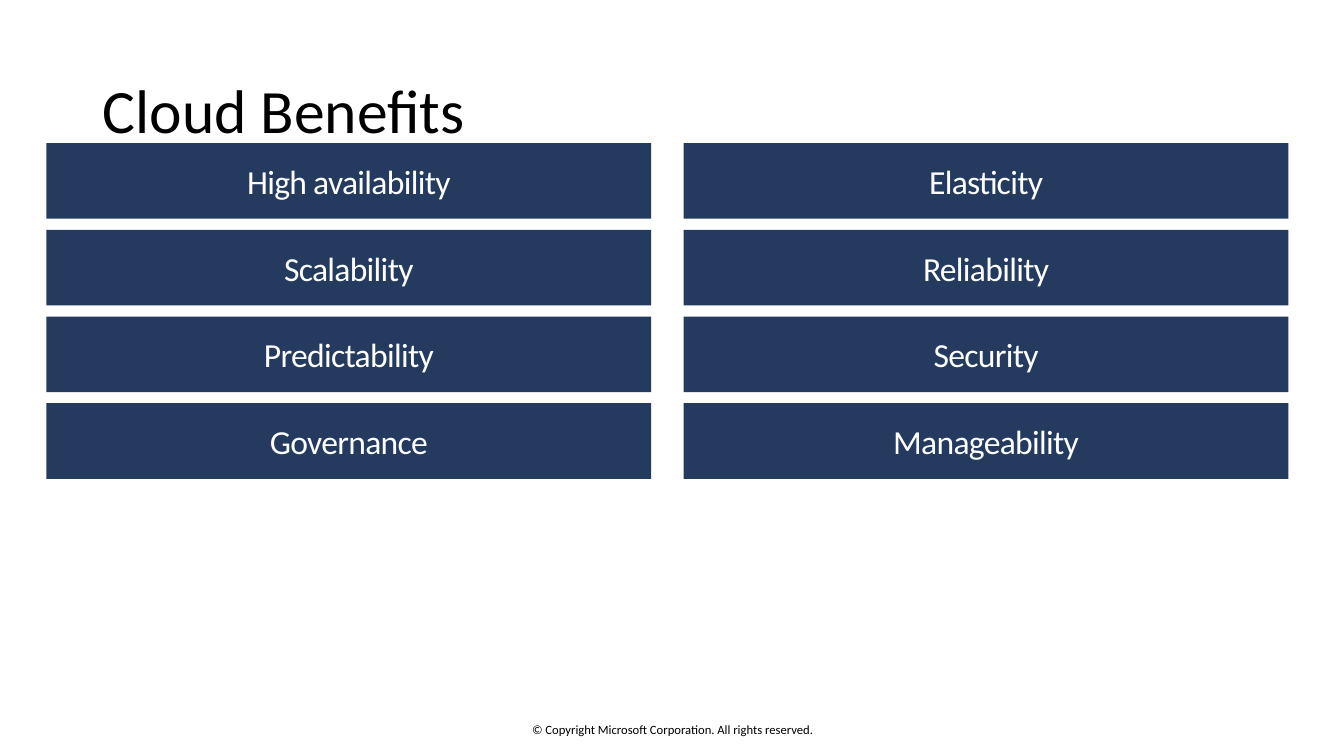
from pptx import Presentation
from pptx.dml.color import RGBColor
from pptx.enum.shapes import MSO_SHAPE
from pptx.enum.text import MSO_ANCHOR, PP_ALIGN
from pptx.util import Inches, Pt

NAVY = RGBColor(0x24, 0x3A, 0x5E)
WHITE = RGBColor(0xFF, 0xFF, 0xFF)
BLACK = RGBColor(0, 0, 0)

BENEFITS = [
    ("High availability", "Elasticity"),
    ("Scalability", "Reliability"),
    ("Predictability", "Security"),
    ("Governance", "Manageability"),
]
LEFT, TOP = 0.46, 1.42
WIDTH, HEIGHT = 6, 0.75
COL_STEP, ROW_STEP = 6.32, 0.86


class Deck:
    font = "Calibri"

    def __init__(self, slide):
        self.slide = slide

    def put_text(self, shape, text, size, color, align, pad, space=None, line=None):
        """Fill a shape with one paragraph; pad is (side, top and bottom) in inches."""
        frame = shape.text_frame
        side, edge = map(Inches, pad)
        layout = {
            "word_wrap": True,
            "vertical_anchor": MSO_ANCHOR.MIDDLE,
            "margin_left": side,
            "margin_right": side,
            "margin_top": edge,
            "margin_bottom": edge,
        }
        for name, value in layout.items():
            setattr(frame, name, value)
        para = frame.paragraphs[0]
        para.alignment = align
        para.line_spacing = line
        run = para.add_run()
        run.text = text
        for name, value in {"name": self.font, "size": Pt(size)}.items():
            setattr(run.font, name, value)
        run.font.color.rgb = color
        if space is not None:
            run._r.get_or_add_rPr().set("spc", str(round(space * 100)))

    def label(self, box, *text, **style):
        shape = self.slide.shapes.add_textbox(*map(Inches, box))
        self.put_text(shape, *text, **style)

    def tile(self, box, text):
        shape = self.slide.shapes.add_shape(MSO_SHAPE.RECTANGLE, *map(Inches, box))
        shape.shadow.inherit = False
        shape.fill.solid()
        shape.fill.fore_color.rgb = NAVY
        shape.line.fill.background()
        self.put_text(shape, text, 24, WHITE, PP_ALIGN.CENTER, (0.1, 0.1), space=-0.5)


def main():
    show = Presentation()
    show.slide_width, show.slide_height = Inches(13.33), Inches(7.5)
    deck = Deck(show.slides.add_slide(show.slide_layouts[6]))

    deck.label((4.42, 7.16, 4.5, 0.15),
               "© Copyright Microsoft Corporation. All rights reserved.",
               9, BLACK, PP_ALIGN.CENTER, (0, 0))
    deck.label((0.92, 0.4, 11.5, 1.45), "Cloud Benefits",
               44, BLACK, PP_ALIGN.LEFT, (0.1, 0.05), line=0.9)
    for row, pair in enumerate(BENEFITS):
        for col, text in enumerate(pair):
            deck.tile((LEFT + col * COL_STEP, TOP + row * ROW_STEP, WIDTH, HEIGHT), text)

    show.save("out.pptx")


if __name__ == "__main__":
    main()
